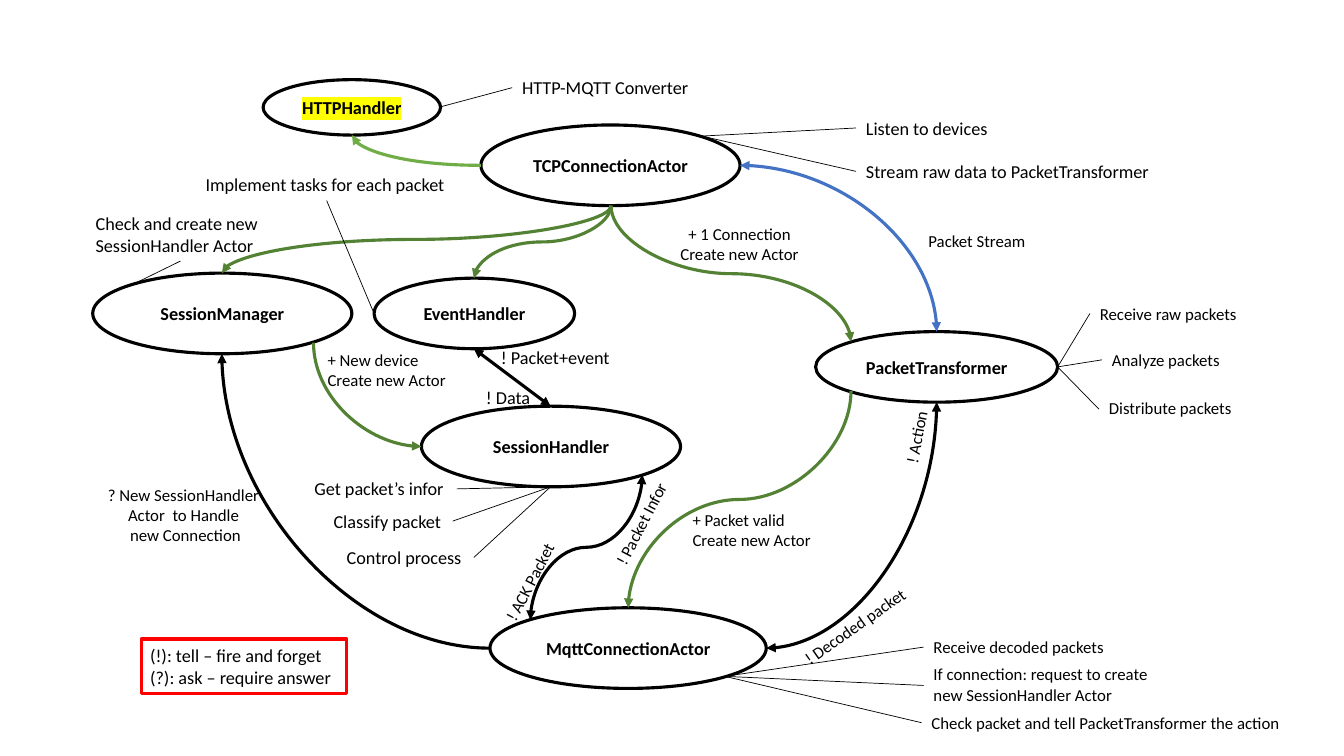
from lxml.etree import SubElement
from pptx import Presentation
from pptx.dml.color import RGBColor
from pptx.enum.shapes import MSO_CONNECTOR, MSO_SHAPE
from pptx.enum.text import MSO_ANCHOR, PP_ALIGN
from pptx.oxml.ns import qn
from pptx.util import Inches, Pt

FONT = "Calibri"
BLACK, RED, YELLOW = "000000", "FF0000", "FFFF00"
BLUE, GREEN, LIGHT_GREEN = "4472C4", "548235", "70AD47"
THICK, THIN = 2.25, 0.5

ACTORS = [
    ("TCPConnectionActor", 4.77, 1.24, 2.57, 0.8),
    ("EventHandler", 3.71, 2.76, 1.99, 0.7),
    ("MqttConnectionActor", 4.86, 6.03, 2.74, 0.8),
    ("PacketTransformer", 8.09, 3.29, 2.4, 0.7),
    ("SessionManager", 0.92, 2.71, 2.57, 0.8),
    ("SessionHandler", 4.18, 4.03, 2.57, 0.8),
]

MESSAGES = [
    ("Packet Stream", 9.11, 2.24, 1.18, 0),
    ("! Decoded packet", 7.79, 6.06, 1.39, 324.9),
    ("+ Packet valid\nCreate new Actor", 6.77, 5.01, 1.39, 0),
    ("+ New device\nCreate new Actor", 3.15, 3.42, 1.39, 0),
    ("! Packet Infor", 5.81, 5.04, 1.1, 297.5),
    ("! Action", 8.72, 4.18, 0.74, 280.8),
    ("! ACK Packet", 4.73, 5.62, 1.05, 297.5),
    ("Receive raw packets", 10.81, 2.96, 1.58, 0),
    ("Analyze packets", 10.93, 3.42, 1.28, 0),
    ("Distribute packets", 10.9, 3.9, 1.43, 0),
    ("Receive decoded packets", 9.16, 6.27, 1.91, 0),
    ("If connection: request to create \nnew SessionHandler Actor ", 9.16, 6.54, 2.39, 0),
    ("Check packet and tell PacketTransformer the action", 9.14, 7.02, 3.7, 0),
]

TASKS = [
    ("Check and create new \nSessionHandler Actor", 0.85, 2.06, 1.88),
    ("Listen to devices", 8.49, 1.11, 1.43),
    ("Stream raw data to PacketTransformer ", 8.49, 1.54, 3.09),
    ("Implement tasks for each packet", 1.94, 1.67, 2.61),
    ("Get packet’s infor", 3.02, 4.69, 1.5),
    ("Classify packet", 3.21, 5.01, 1.28),
    ("Control process", 3.34, 5.37, 1.36),
    ("! Packet+event", 4.87, 3.39, 1.3),
    ("! Data", 4.72, 3.78, 0.65),
    ("HTTP-MQTT Converter", 5.08, 0.71, 1.88),
    ("(!): tell – fire and forget\n(?): ask – require answer", 1.39, 6.34, 2.02),
]

LEADERS = [
    ((7.19, 6.71), [(9.16, 6.42), (9.16, 6.8), (9.14, 7.17)]),
    ((6.96, 1.35), [(8.49, 1.27), (8.49, 1.7)]),
    ((5.46, 4.83), [(4.53, 4.85), (4.49, 5.17), (4.7, 5.53)]),
    ((10.49, 3.64), [(10.81, 3.11), (10.93, 3.57), (10.9, 4.06)]),
    ((3.71, 3.11), [(3.24, 1.99)]),
    ((1.3, 2.83), [(1.79, 2.59)]),
    ((4.37, 1.06), [(5.08, 0.87)]),
]

QUARTER, S_BEND = "curvedConnector2", "curvedConnector3"
FLOWS = [
    ((7.34, 1.64), (9.29, 3.29), QUARTER, False, BLUE, True),
    ((9.29, 3.99), (7.6, 6.43), QUARTER, True, BLACK, True),
    ((6.06, 2.04), (8.44, 3.39), S_BEND, True, GREEN, False),
    ((8.44, 3.88), (6.23, 6.03), S_BEND, True, GREEN, False),
    ((4.86, 6.43), (2.2, 3.51), QUARTER, False, BLACK, False),
    ((3.11, 3.4), (4.18, 4.43), QUARTER, True, GREEN, False),
    ((6.06, 2.04), (4.7, 2.76), S_BEND, True, GREEN, False),
    ((6.06, 2.04), (2.2, 2.71), S_BEND, True, GREEN, False),
    ((6.37, 4.71), (5.26, 6.15), S_BEND, True, BLACK, True),
    ((4.77, 1.64), (3.49, 1.34), QUARTER, False, LIGHT_GREEN, False),
]


def color(value):
    return RGBColor.from_string(value)


def write(frame, text, size, align=PP_ALIGN.LEFT, bold=False):
    for index, words in enumerate(text.split("\n")):
        paragraph = frame.paragraphs[0] if index == 0 else frame.add_paragraph()
        paragraph.alignment = align
        run = paragraph.add_run()
        run.text = words
        run.font.size = Pt(size)
        run.font.bold = bold
        run.font.color.rgb = color(BLACK)
        run.font.name = FONT


def add_label(slide, text, left, top, width, size, angle=0, align=PP_ALIGN.LEFT, wrap=False):
    height = 0.1 + (text.count("\n") + 1) * size / 60
    label = slide.shapes.add_textbox(Inches(left), Inches(top), Inches(width), Inches(height))
    label.rotation = angle
    label.text_frame.word_wrap = wrap
    write(label.text_frame, text, size, align)


def add_outline(slide, preset, left, top, width, height, line_color):
    outline = slide.shapes.add_shape(
        preset, Inches(left), Inches(top), Inches(width), Inches(height))
    outline.shadow.inherit = False
    outline.fill.background()
    outline.line.color.rgb = color(line_color)
    outline.line.width = Pt(THICK)
    return outline


def add_actor(slide, name, left, top, width, height):
    actor = add_outline(slide, MSO_SHAPE.OVAL, left, top, width, height, BLACK)
    actor.text_frame.vertical_anchor = MSO_ANCHOR.MIDDLE
    write(actor.text_frame, name, 13, PP_ALIGN.CENTER, True)
    return actor


def highlight(run, value):
    properties = run.font._element
    marker = SubElement(properties, qn("a:highlight"))
    SubElement(marker, qn("a:srgbClr")).set("val", value)
    properties.find(qn("a:solidFill")).addnext(marker)


def add_link(slide, kind, start, end, line_color, width, arrows=()):
    link = slide.shapes.add_connector(kind, *map(Inches, (*start, *end)))
    link.line.color.rgb = color(line_color)
    link.line.width = Pt(width)
    for tag in arrows:
        SubElement(link.line._get_or_add_ln(), qn(tag)).set("type", "triangle")
    SubElement(link._element.spPr, qn("a:effectLst"))
    return link


def arrow_ends(two_way):
    return ("a:headEnd", "a:tailEnd") if two_way else ("a:tailEnd",)


def add_flow(slide, start, end, bend, leaves_down, line_color, two_way):
    across, down = end[0] - start[0], end[1] - start[1]
    width, height = abs(across), abs(down)
    if leaves_down:
        width, height = height, width
        turn = 270 if across > 0 else 90
    else:
        turn = 0 if across > 0 else 180
    left = (start[0] + end[0] - width) / 2
    top = (start[1] + end[1] - height) / 2
    right, bottom = left + width, top + height
    if turn == 270:
        left, right = right, left
    flow = add_link(slide, MSO_CONNECTOR.CURVE, (left, top), (right, bottom),
                    line_color, THICK, arrow_ends(two_way))
    properties = flow._element.spPr
    properties.find(qn("a:xfrm")).set("rot", str(turn * 60000))
    properties.find(qn("a:prstGeom")).set("prst", bend)


def main():
    deck = Presentation()
    deck.slide_width, deck.slide_height = Inches(13.33), Inches(7.5)
    slide = deck.slides.add_slide(deck.slide_layouts[6])
    for actor in ACTORS:
        add_actor(slide, *actor)
    http_handler = add_actor(slide, "HTTPHandler", 2.61, 0.79, 1.76, 0.55)
    highlight(http_handler.text_frame.paragraphs[0].runs[0], YELLOW)
    for flow in FLOWS:
        add_flow(slide, *flow)
    add_link(slide, MSO_CONNECTOR.STRAIGHT, (4.7, 3.46), (5.46, 4.03),
             BLACK, THICK, arrow_ends(True))
    for origin, ends in LEADERS:
        for end in ends:
            add_link(slide, MSO_CONNECTOR.STRAIGHT, origin, end, BLACK, THIN)
    for text, left, top, width, angle in MESSAGES:
        add_label(slide, text, left, top, width, 12, angle)
    add_label(slide, "+ 1 Connection\nCreate new Actor", 6.44, 2.17, 1.79, 12,
              align=PP_ALIGN.CENTER, wrap=True)
    add_label(slide, "? New SessionHandler \nActor  to Handle \nnew Connection",
              0.96, 4.76, 1.76, 12, align=PP_ALIGN.CENTER)
    for task in TASKS:
        add_label(slide, *task, 13)
    add_outline(slide, MSO_SHAPE.RECTANGLE, 1.4, 6.34, 2.04, 0.54, RED)
    deck.save("out.pptx")


main()
